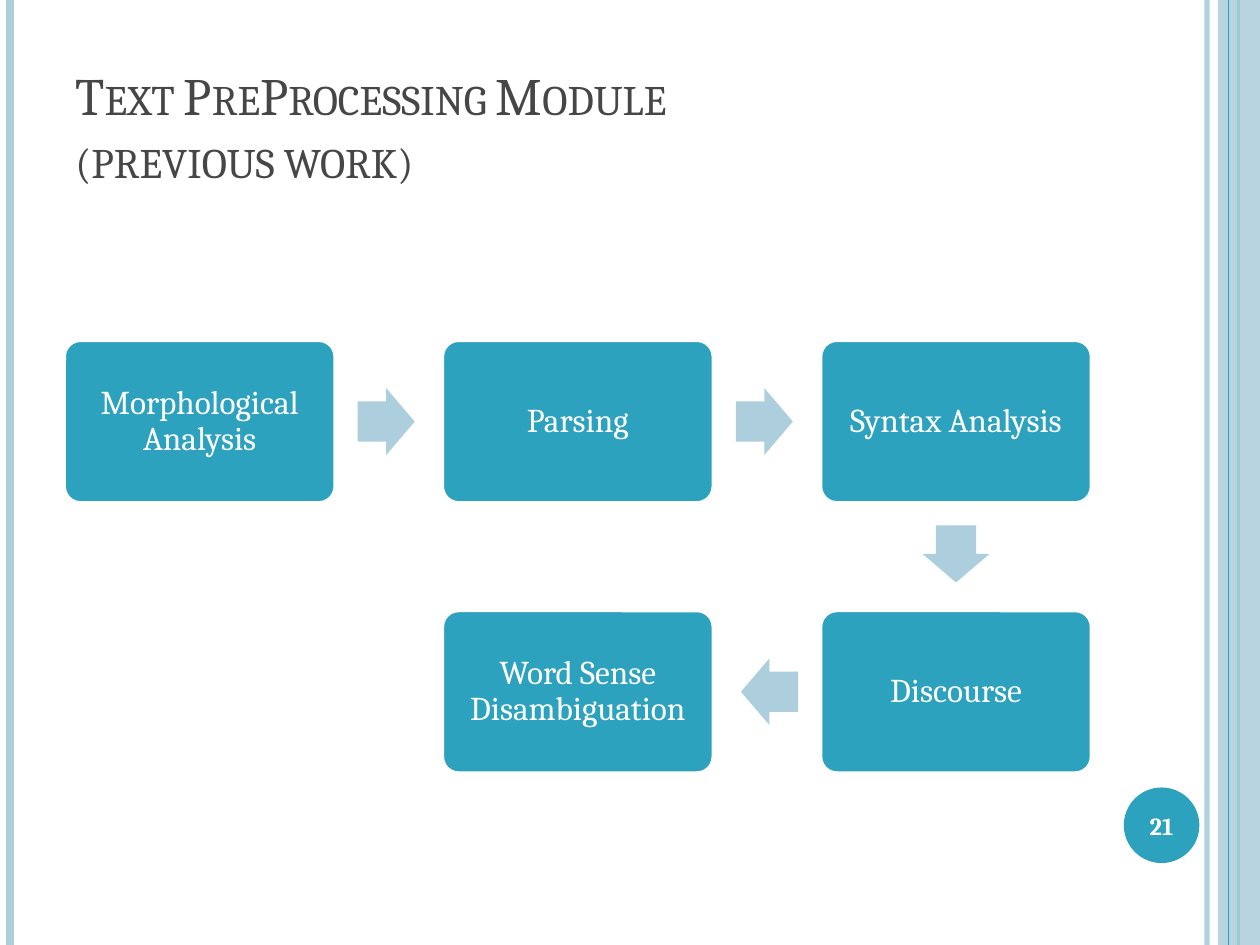
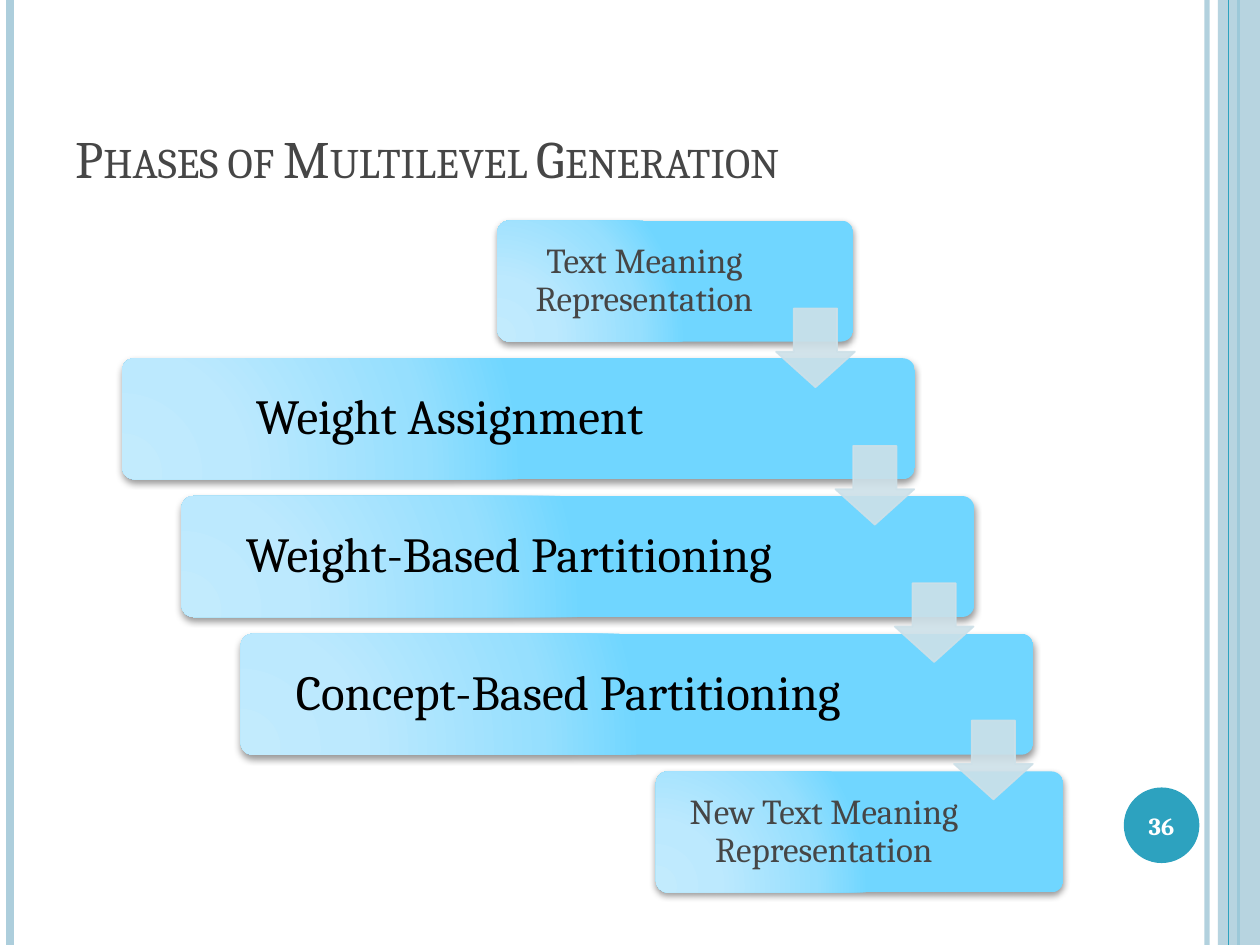
from pptx import Presentation
from pptx import util as u
from pptx.dml import color
from pptx.enum import shapes, text
from pptx.oxml import parse_xml
from pptx.oxml.ns import nsdecls

TEAL, PALE, GREY, WHITE, BLACK = "2DA2BF", "ADCEDC", "464646", "FFFFFF", "000000"
MIST = "CDE0E8"
FONT = "Cambria"
WIDE, HIGH = 720, 540

PAGES = [
    ("Text PreProcessing Module\v(previous work)", "21"),
    ("Phases of Multilevel Generation", "36"),
]

STEPS = [
    ("Morphological Analysis", 0, 0),
    ("Parsing", 1, 0),
    ("Syntax Analysis", 2, 0),
    ("Discourse", 2, 1),
    ("Word Sense Disambiguation", 1, 1),
]

PHASES = [
    ("Text Meaning Representation", 284.2, 203.4, 20, GREY, 5.8, 41),
    ("Weight Assignment", 69.8, 453, 28, BLACK, 8.6, 87.4),
    ("Weight-Based Partitioning", 103.7, 453, 28, BLACK, 8.6, 87.4),
    ("Concept-Based Partitioning", 137.5, 453, 28, BLACK, 8.6, 87.4),
    ("New Text Meaning Representation", 374.8, 232.9, 20, GREY, 5.8, 46.5),
]

RULES = [(689.8, PALE, 3, 93), (5.8, PALE, 4.5, 100),
         (707.8, TEAL, 1.5, 100)]
EDGE = (702, TEAL, 0.75, 100)
STOPS = [(0, "C2EBFD"), (30, "BCE9FE"), (75, "96DFFE"), (100, "70D6FF")]


def pts(*vals):
    return [u.Pt(v) for v in vals]


def rgb(code):
    return color.RGBColor.from_string(code)


def fade(fill, pct):
    if pct < 100:
        clr = fill._xPr.find(".//{*}solidFill/{*}srgbClr")
        clr.append(parse_xml(f'<a:alpha {nsdecls("a")} val="{pct * 1000}"/>'))


def paint(fill, code, pct=100):
    fill.solid()
    fill.fore_color.rgb = rgb(code)
    fade(fill, pct)


def stroke(line, code, width, pct=100):
    line.width = u.Pt(width)
    paint(line.fill, code, pct)


def rule(page, x, code, width, pct):
    line = page.shapes.add_connector(
        shapes.MSO_CONNECTOR.STRAIGHT, *pts(x, 0, x, HIGH))
    stroke(line.line, code, width, pct)
    line._element.spPr.append(parse_xml(f'<a:effectLst {nsdecls("a")}/>'))


def shape(page, kind, box, code, pct=100, adj=()):
    item = page.shapes.add_shape(kind, *pts(*box))
    item.shadow.inherit = False
    paint(item.fill, code, pct)
    item.line.fill.background()
    for i, val in enumerate(adj):
        item.adjustments[i] = val
    return item


def write(item, words, size, code, pad, side=None, align="CENTER",
          anchor="MIDDLE", gap=None, bold=False):
    frame = item.text_frame
    frame.word_wrap = True
    frame.vertical_anchor = getattr(text.MSO_ANCHOR, anchor)
    frame.margin_left, frame.margin_top, frame.margin_bottom = pts(*[pad] * 3)
    frame.margin_right = u.Pt(pad if side is None else side)
    par = frame.paragraphs[0]
    par.text = words
    par.alignment = getattr(text.PP_ALIGN, align)
    par.line_spacing = gap
    for run in par.runs:
        run.font.name = FONT
        run.font.size = u.Pt(size)
        run.font.bold = bold
        run.font.color.rgb = rgb(code)
    return par


def frame(deck, title, num):
    page = deck.slides.add_slide(deck.slide_layouts[6])
    page.background.fill.solid()
    page.background.fill.fore_color.rgb = rgb(WHITE)
    for spec in RULES:
        rule(page, *spec)
    shape(page, shapes.MSO_SHAPE.RECTANGLE, (696, 0, 24, HIGH), PALE, 87)
    rule(page, *EDGE)
    disc = shape(page, shapes.MSO_SHAPE.OVAL, (642.2, 450, 43.2, 43.2), TEAL)
    write(disc, num, 14, WHITE, 0, bold=True)
    head = page.shapes.add_textbox(*pts(36, 21.6, 588, 90))
    par = write(head, title, 30, GREY, 3.6, 7.2, "LEFT", "BOTTOM")
    head.text_frame.margin_left = u.Pt(7.2)
    for run in par.runs:
        run.font._element.set("cap", "small")
    return page


def flow(page):
    wide, high, reach = 154.8, 92.9, 29.2
    long, thick = 32.6, 38.2
    mids = [(114.1 + 216.1 * col, 240.9 + 154.4 * row) for _, col, row in STEPS]
    for (words, _, _), (x, y) in zip(STEPS, mids):
        box = shape(page, shapes.MSO_SHAPE.ROUNDED_RECTANGLE,
                    (x - wide / 2, y - high / 2, wide, high), TEAL, adj=[0.1])
        stroke(box.line, WHITE, 2)
        write(box, words, 19, WHITE, 5.8, gap=0.9)
    for (x, y), (nx, ny) in zip(mids, mids[1:]):
        dx, dy = (nx > x) - (nx < x), (ny > y) - (ny < y)
        cx = x + dx * (wide / 2 + reach)
        cy = y + dy * (high / 2 + reach)
        arrow = shape(page, shapes.MSO_SHAPE.RIGHT_ARROW,
                      (cx - long / 2, cy - thick / 2, long, thick),
                      PALE, adj=[0.6, 0.5])
        arrow.rotation = 90 if dy else 180 if dx < 0 else 0


def glow(item):
    props = item._element.spPr
    stops = "".join(f'<a:gs pos="{pos * 1000}"><a:srgbClr val="{code}"/></a:gs>'
                    for pos, code in STOPS)
    grad = parse_xml(
        f'<a:gradFill {nsdecls("a")} rotWithShape="1"><a:gsLst>{stops}</a:gsLst>'
        '<a:path path="circle"><a:fillToRect l="5000" t="100000" r="120000"'
        ' b="10000"/></a:path></a:gradFill>')
    props.replace(props.find("{*}solidFill"), grad)
    props.find("{*}effectLst").append(parse_xml(
        f'<a:outerShdw {nsdecls("a")} blurRad="{u.Pt(4)}" dist="{u.Pt(2)}"'
        ' dir="5400000" rotWithShape="0"><a:srgbClr val="000000">'
        '<a:alpha val="40000"/></a:srgbClr></a:outerShdw>'))


def stairs(page):
    for i, (words, left, wide, size, code, pad, side) in enumerate(PHASES):
        box = shape(page, shapes.MSO_SHAPE.ROUNDED_RECTANGLE,
                    (left, 126 + 78.7 * i, wide, 69.2), STOPS[-1][1], adj=[0.1])
        glow(box)
        write(box, words, size, code, pad, side, gap=0.9)
    for i in range(len(PHASES) - 1):
        arrow = shape(page, shapes.MSO_SHAPE.DOWN_ARROW,
                      (443.5 + 33.9 * i, 176.3 + 78.5 * i, 45, 45),
                      MIST, 90, [0.55, 0.45])
        stroke(arrow.line, MIST, 1, 90)


def main():
    deck = Presentation()
    deck.slide_width, deck.slide_height = pts(WIDE, HIGH)
    for (title, num), draw in zip(PAGES, (flow, stairs)):
        draw(frame(deck, title, num))
    deck.save("out.pptx")


if __name__ == "__main__":
    main()
